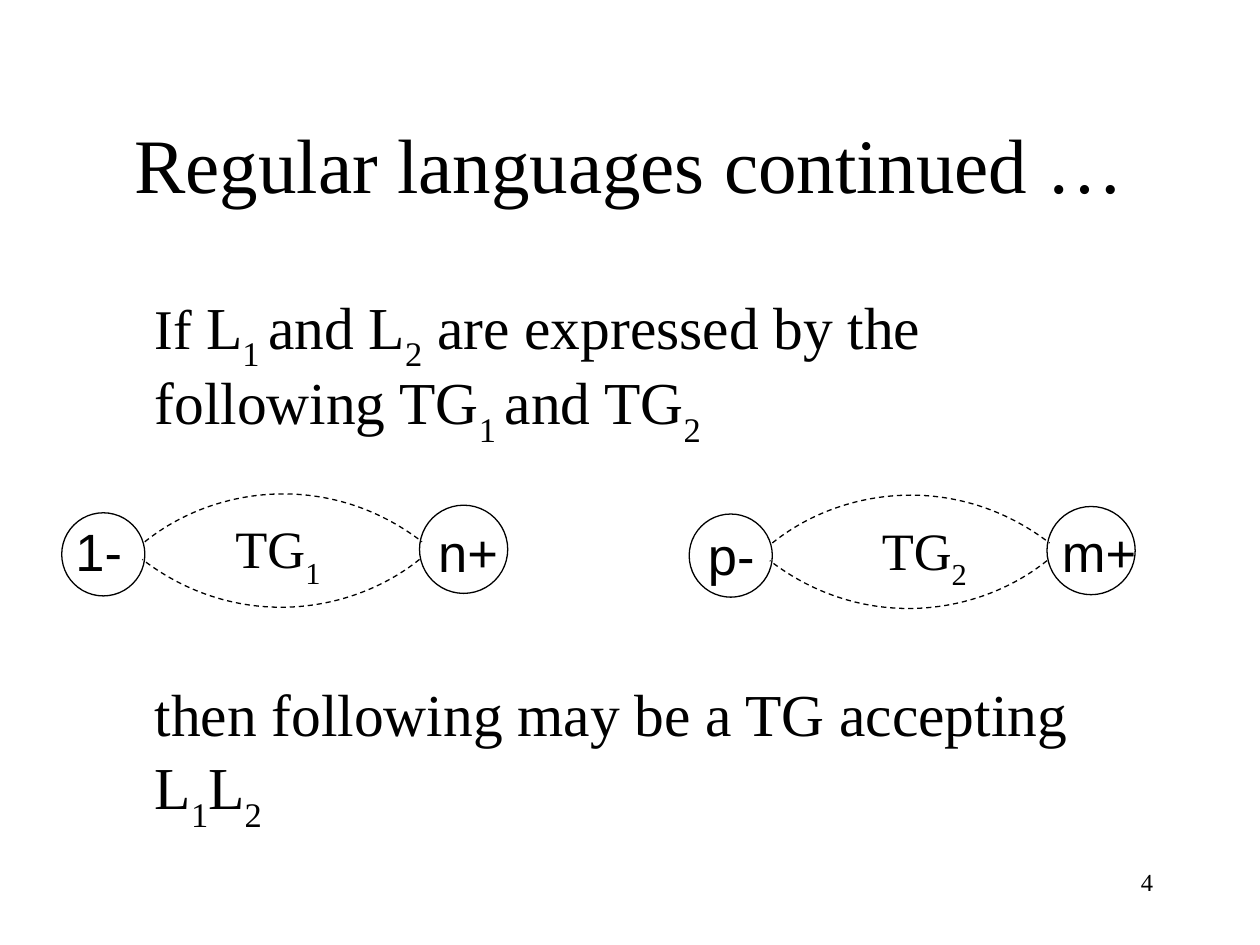
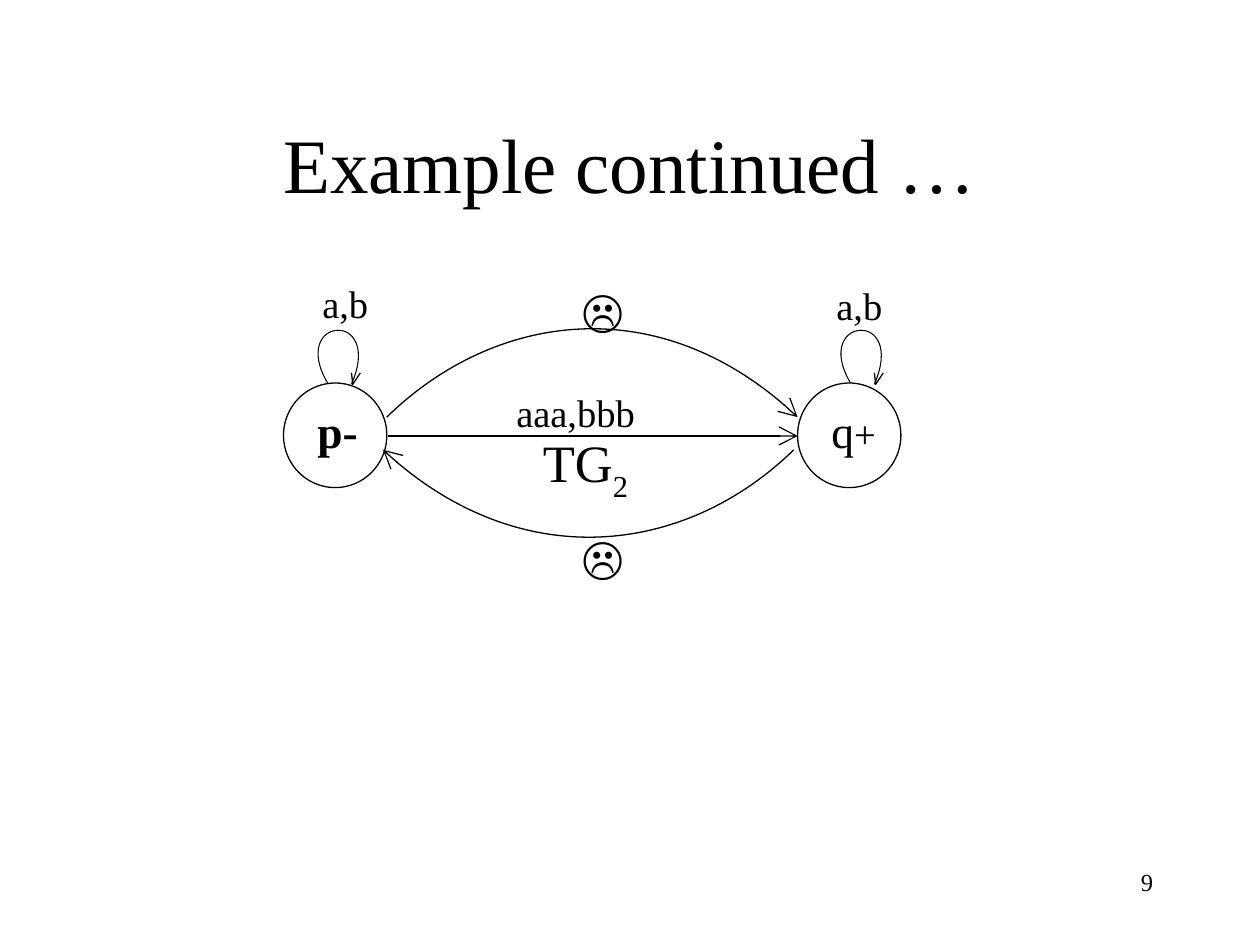
from lxml.etree import SubElement
from pptx import Presentation
from pptx.dml.color import RGBColor
from pptx.enum.dml import MSO_LINE
from pptx.enum.shapes import MSO_CONNECTOR, MSO_SHAPE
from pptx.enum.text import MSO_ANCHOR, PP_ALIGN
from pptx.oxml.ns import qn
from pptx.util import Inches, Pt

BLACK = RGBColor(0, 0, 0)
WHITE = RGBColor(255, 255, 255)
SERIF, SANS, SIGN = "Times New Roman", "Arial", "Cambria"
WIDTH, HEIGHT = Inches(10), Inches(7.5)
COLS = 100


def cell(count):
    """Turn a count of grid cells into a length."""
    return round(count * WIDTH / COLS)


def add_run(para, text, size, face=SERIF, sub=False, bold=False):
    """Add one styled run."""
    run = para.add_run()
    run.text = text
    run.font.size, run.font.name, run.font.bold = Pt(size), face, bold
    run.font.color.rgb = BLACK
    if sub:
        run._r.get_or_add_rPr().set("baseline", "-30000")


def add_subs(para, parts, size):
    """Add parts that are plain and subscript by turns."""
    for num, part in enumerate(parts):
        add_run(para, part, size, sub=num % 2 == 1)


def add_box(slide, left, top, wide, high):
    """Add a text box and return its first paragraph."""
    frame = slide.shapes.add_textbox(*map(cell, (left, top, wide, high))).text_frame
    frame.word_wrap = True
    return frame.paragraphs[0]


def add_label(slide, left, top, text, size, face=SERIF, bold=False):
    """Add a short one-run label."""
    add_run(add_box(slide, left, top, 14, 6), text, size, face, bold=bold)


def add_graph(slide, left, top, num):
    """Add the name of a transition graph."""
    add_subs(add_box(slide, left, top, 13.3, 6.9), ("TG", num), 30)


def set_line(shape, width=0.75, dash=False, arrow=False):
    """Style an outline, with a dash or an arrowhead on demand."""
    line = shape.line
    line.color.rgb, line.width = BLACK, Pt(width)
    if dash:
        line.dash_style = MSO_LINE.DASH
    if arrow:
        pen = next(shape.element.iter(qn("a:ln")))
        SubElement(pen, qn("a:tailEnd"), type="arrow", w="lg", len="lg")


def add_state(slide, left, top, wide, high):
    """Add the circle of a state."""
    ring = slide.shapes.add_shape(MSO_SHAPE.OVAL, *map(cell, (left, top, wide, high)))
    ring.shadow.inherit = False
    ring.fill.solid()
    ring.fill.fore_color.rgb = WHITE
    set_line(ring)


def add_trace(slide, left, top, points, **style):
    """Add an open outline through points offset from left and top."""
    start, *rest = [(cell(left + x), cell(top + y)) for x, y in points]
    build = slide.shapes.build_freeform(*start)
    build.add_line_segments(rest, close=False)
    shape = build.convert_to_shape()
    shape.shadow.inherit = False
    shape.fill.background()
    set_line(shape, **style)
    return shape


def add_curve(slide, left, top, points, **style):
    """Add a cubic curve from its start, two controls and end."""
    steps = list(add_trace(slide, left, top, points, **style).element.iter(qn("a:lnTo")))
    trail = steps[0].getparent()
    curve = SubElement(trail, qn("a:cubicBezTo"))
    for step in steps:
        curve.append(step[0])
        trail.remove(step)


def add_page(deck, title, num):
    """Add a slide with its title and number."""
    slide = deck.slides.add_slide(deck.slide_layouts[5])
    head = slide.shapes.title
    head.left, head.top, head.width, head.height = map(cell, (7.5, 6.7, 85, 12.5))
    head.text_frame.vertical_anchor = MSO_ANCHOR.MIDDLE
    para = head.text_frame.paragraphs[0]
    para.alignment = PP_ALIGN.CENTER
    add_run(para, title, 44)
    para = add_box(slide, 71.7, 68.3, 20.8, 5)
    para.alignment = PP_ALIGN.RIGHT
    add_run(para, num, 14)
    return slide


def add_body(slide, left, top):
    """Add the two statements around the graphs."""
    para = add_box(slide, left, top, 81.2, 45)
    para.line_spacing = 0.9
    add_run(para, "If ", 32)
    add_subs(para, ("L", "1 ", "and L", "2", " are expressed by the following TG",
                    "1 ", "and TG", "2"), 34)
    para = para._parent.add_paragraph()
    para.line_spacing, para.space_before = 0.9, Pt(139.6)
    add_subs(para, ("then following may be a TG accepting L", "1", "L", "2"), 34)


def add_lens(slide, left, top, first, last, name):
    """Add two states joined by dashed arcs; each label is (x, y, text)."""
    add_state(slide, left, top + 3.3, 6.6, 6.6)
    add_state(slide, left + 28.4, top + 2.7, 7, 7)
    for arc in (((6.6, 5.6), (12.2, 1.1), (21.3, 0), (28.6, 5.6)),
                ((28.4, 7), (22.8, 11.5), (13.7, 12.6), (6.4, 7))):
        add_curve(slide, left, top, arc, dash=True)
    for x, y, text in (first, last):
        add_label(slide, left + x, top + y, text, 30, SANS)
    x, y, num = name
    add_graph(slide, left + x, top + y, num)


def add_loop(slide, left, top):
    """Add a self loop with its open arrowhead."""
    add_curve(slide, left, top, ((0, 0), (-3.1, -5.3), (4.5, -5.9), (1.9, 0.1)), width=0.6)
    add_trace(slide, left, top, ((1.9, -0.8), (2, 0.1), (2.6, -0.8)))


def add_machine(slide, left, top):
    """Add the two-state example graph."""
    for x, loop in ((0, 3.5), (40.8, 45)):
        add_state(slide, left + x, top + 8.5, 8.2, 8.3)
        add_loop(slide, left + loop, top + 8.5)
    ends = map(cell, (left + 8.3, top + 12.7, left + 40.8, top + 12.7))
    edge = slide.shapes.add_connector(MSO_CONNECTOR.STRAIGHT, *ends)
    SubElement(edge.element.spPr, qn("a:effectLst"))
    set_line(edge, arrow=True)
    for arc in (((40.5, 13.8), (32.2, 21.9), (18.7, 23.9), (7.9, 13.8)),
                ((8.2, 11.2), (16.6, 3), (30.1, 1), (40.8, 11.2))):
        add_curve(slide, left, top, arc, arrow=True)
    for x, y, text in ((17.5, 8.5, "aaa,bbb"), (42.9, 0, "a,b"), (2.1, -0.2, "a,b")):
        add_label(slide, left + x, top + y, text, 22)
    add_label(slide, left + 1.7, top + 9.6, "p-", 26, bold=True)
    para = add_box(slide, left + 42.5, top + 9.6, 9.8, 6.7)
    add_run(para, "q", 26)
    add_run(para, "+", 22)
    add_graph(slide, left + 19.6, top + 11.7, "2")
    for y in (0, 19.6):
        add_label(slide, left + 22.7, top + y, "☹", 26, SIGN)


def main():
    """Build and save the deck."""
    deck = Presentation()
    deck.slide_width, deck.slide_height = WIDTH, HEIGHT
    slide = add_page(deck, "Regular languages continued …", "4")
    add_body(slide, 11.3, 22.5)
    add_lens(slide, 4.9, 37.4, (0.1, 3.3, "1-"), (28.9, 3.4, "n+"), (12.8, 3.1, "1"))
    add_lens(slide, 54.7, 37.5, (0.5, 3.5, "p-"), (28.6, 3.3, "m+"), (14.3, 3.1, "2"))
    slide = add_page(deck, "Example continued …", "9")
    add_machine(slide, 22.5, 21.9)
    deck.save("out.pptx")


if __name__ == "__main__":
    main()
